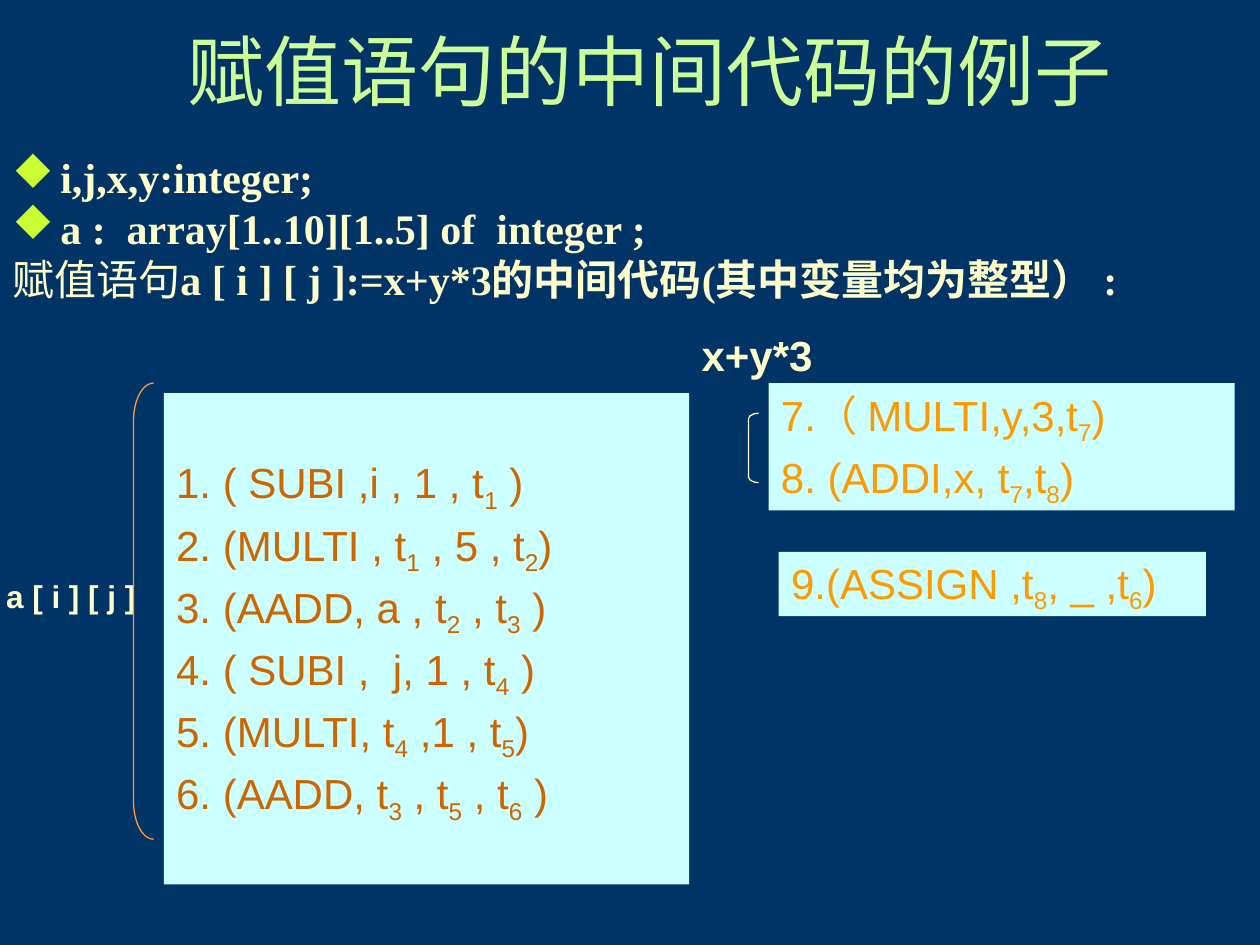
from lxml import etree
from pptx import Presentation, util as u
from pptx.dml.color import RGBColor
from pptx.enum import shapes, text
from pptx.oxml import ns

# Content: in code lines every second part between bars is a subscript
TITLE = "赋值语句的中间代码的例子"
DECLARATIONS = ["i,j,x,y:integer;", "a :  array[1..10][1..5] of  integer ;"]
STATEMENT = [("赋值语句", False),
             ("a [ i ] [ j ]:=x+y*3的中间代码(其中变量均为整型） :", True)]
ADDRESS_CODE = [
    "1. ( SUBI ,i , 1 , t|1| )",
    "2. (MULTI , t|1| , 5 , t|2|)",
    "3. (AADD, a , t|2| , t|3| )",
    "4. ( SUBI ,  j, 1 , t|4| )",
    "5. (MULTI, t|4| ,1 , t|5|)",
    "6. (AADD, t|3| , t|5| , t|6| )",
]
VALUE_CODE = ["7.（ MULTI,y,3,t|7|)", "8. (ADDI,x, t|7|,t|8|)"]
ASSIGN_CODE = ["9.(ASSIGN ,t|8|, _ ,t|6|)"]

COLOURS = {"background": "003366", "title": "CCFF99", "body": "FFFFCC",
           "bullet": "CCFF33", "panel": "CCFFFF", "address": "CC6600",
           "value": "FF9900", "bracket": "FF9933"}

# Places on a grid of 100 columns by 75 rows: left, top, width, height
COLUMNS, ROWS = 100, 75
CODE_PANELS = [
    (ADDRESS_CODE, (13, 31.2, 41.7, 39), "address"),
    (VALUE_CODE, (61, 30.4, 37, 10.1), "value"),
    (ASSIGN_CODE, (61.8, 43.8, 33.9, 5.1), "value"),
]
LABELS = [("a [ i ] [ j ]", (-0.5, 45.3, 12.3, 4), 18),
          ("x+y*3", (54.7, 25.7, 10.8, 5), 24)]
BRACKETS = [((10.6, 30.4, 1.6, 36.2), 1.88, "bracket"),
            ((59.4, 32.8, 0.8, 5.5), 0.56, "body")]

deck = Presentation()
deck.slide_width, deck.slide_height = u.Inches(10), u.Inches(7.5)
slide = deck.slides.add_slide(deck.slide_layouts[6])


def colour(name):
    return RGBColor.from_string(COLOURS[name])


def place(box):
    left, top, width, height = box
    column, row = deck.slide_width / COLUMNS, deck.slide_height / ROWS
    return [round(n) for n in (left * column, top * row, width * column, height * row)]


def add_text(box, wrap=True):
    frame = slide.shapes.add_textbox(*place(box)).text_frame
    frame.word_wrap = wrap
    return frame


def next_paragraph(frame, index):
    return frame.add_paragraph() if index else frame.paragraphs[0]


def style(paragraph, size, name, face="Arial", bold=False):
    font = paragraph.font
    font.size, font.name, font.bold = u.Pt(size), face, bold
    font.color.rgb = colour(name)


def space(paragraph, line, index):
    paragraph.line_spacing = line
    if index:
        paragraph.space_before = u.Pt(6)


def add_bullet(properties):
    tint = etree.SubElement(properties, ns.qn("a:buClr"))
    etree.SubElement(tint, ns.qn("a:srgbClr"), val=COLOURS["bullet"])
    # The letter u is a solid diamond in this symbol font
    etree.SubElement(properties, ns.qn("a:buFont"), typeface="Wingdings",
                     pitchFamily="2", charset="2")
    etree.SubElement(properties, ns.qn("a:buChar"), char="u")


slide.background.fill.solid()
slide.background.fill.fore_color.rgb = colour("background")

# Declarations and the statement to translate
body = add_text((0, 12.3, 91.5, 16.5))
body_lines = [[(line, True)] for line in DECLARATIONS] + [STATEMENT]
for i, parts in enumerate(body_lines):
    paragraph = next_paragraph(body, i)
    space(paragraph, 0.8, i)
    properties = paragraph._p.get_or_add_pPr()
    properties.set("marL", str(u.Inches(0.38)))
    properties.set("indent", str(u.Inches(-0.38)))
    if i < len(DECLARATIONS):
        add_bullet(properties)
    style(paragraph, 24, "body", "Times New Roman", True)
    for words, bold in parts:
        run = paragraph.add_run()
        run.text = words
        if not bold:
            run.font.bold = False

# Panels of intermediate code
for lines, box, ink in CODE_PANELS:
    panel = slide.shapes.add_shape(shapes.MSO_SHAPE.RECTANGLE, *place(box))
    panel.shadow.inherit = False
    panel.fill.solid()
    panel.fill.fore_color.rgb = colour("panel")
    panel.line.fill.background()
    frame = panel.text_frame
    frame.word_wrap = True
    frame.vertical_anchor = text.MSO_ANCHOR.MIDDLE
    for i, line in enumerate(lines):
        paragraph = next_paragraph(frame, i)
        paragraph.alignment = text.PP_ALIGN.LEFT
        space(paragraph, 0.9, i)
        style(paragraph, 24, ink)
        for k, part in enumerate(line.split("|")):
            run = paragraph.add_run()
            run.text = part
            run.font.color.rgb = colour(ink)
            if k % 2:
                run._r.get_or_add_rPr().set("baseline", "-25000")

# Labels and brackets beside the code
for words, box, size in LABELS:
    paragraph = add_text(box, wrap=False).paragraphs[0]
    paragraph.text = words
    style(paragraph, size, "body", bold=True)

for box, roundness, ink in BRACKETS:
    bracket = slide.shapes.add_shape(shapes.MSO_SHAPE.LEFT_BRACKET, *place(box))
    bracket.shadow.inherit = False
    bracket.adjustments[0] = roundness
    bracket.fill.background()
    bracket.line.color.rgb = colour(ink)
    bracket.line.width = u.Pt(0.75)

# Title
title = add_text((13, 1.3, 77.2, 9.6))
title.vertical_anchor = text.MSO_ANCHOR.MIDDLE
heading = title.paragraphs[0]
heading.text = TITLE
heading.alignment = text.PP_ALIGN.CENTER
heading.line_spacing = 0.85
style(heading, 44, "title", "Times New Roman")

deck.save("out.pptx")
